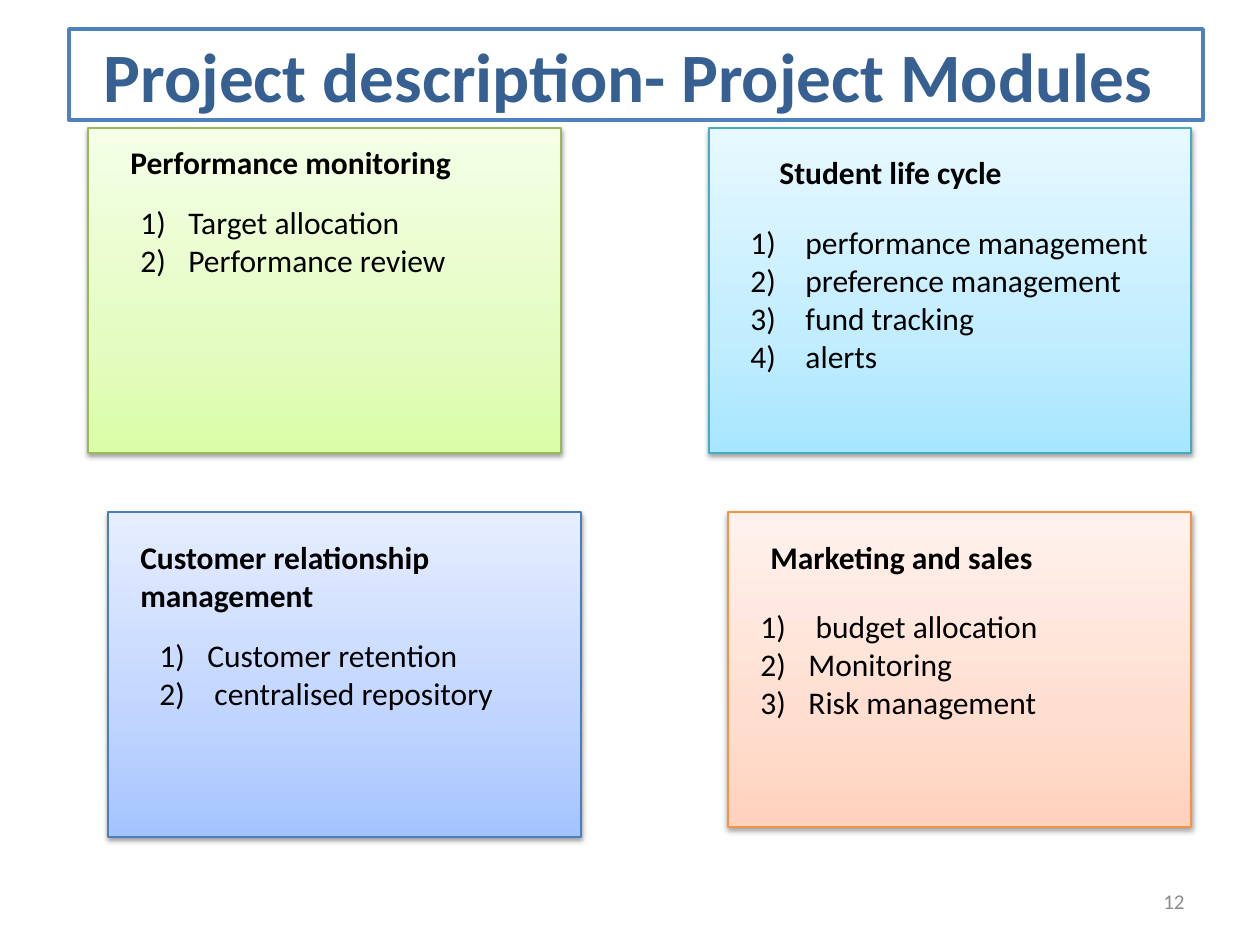
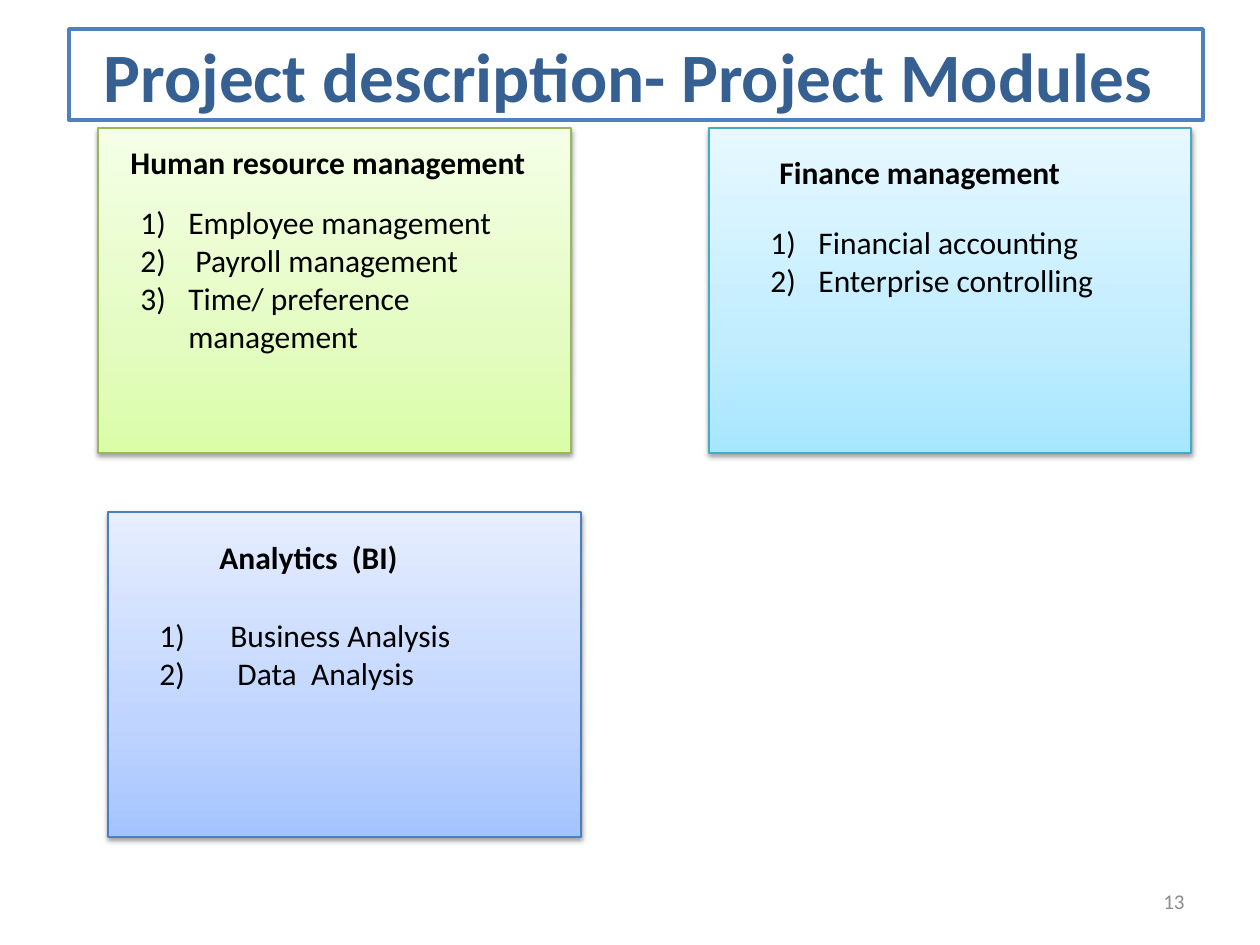
from lxml import etree
from pptx import Presentation
from pptx.dml.color import RGBColor
from pptx.enum.shapes import MSO_SHAPE as SHAPE
from pptx.enum.text import MSO_ANCHOR as ANCHOR, MSO_AUTO_SIZE as AUTO, PP_ALIGN as ALIGN
from pptx.oxml.ns import qn
from pptx.util import Pt

PX = 914400 / 126
TITLE = "Project description- Project Modules "

# Gradient stops at 0, 35 and 100 %, then the outline
GREEN = ("DAFDA7", "E4FCC2", "F5FFE7", "98B955")
CYAN = ("A7E6FF", "C1EDFF", "E7F8FF", "46AAC5")
BLUE = ("A4C4FF", "BFD4FF", "E6EEFF", "4B7EBC")
ORANGE = ("FFD2BD", "FFDED0", "FFF2ED", "F69240")

HEADING = {"size": Pt(18), "bold": True}
ITEM = {"size": Pt(18), "bold": False}
NUMBER = {"size": Pt(12), "bold": False}

# Slide number, then modules: palette, card, heading, heading box, items, item box, indent
SLIDES = [
    ("12", [
        (CYAN, (709, 128, 482, 325), "Student life cycle", (767, 147, 384, 50),
         [" performance management", " preference management", " fund tracking", " alerts"],
         (738, 217, 444, 165), 48),
        (GREEN, (88, 128, 473, 325), "Performance monitoring", (118, 137, 433, 50),
         ["Target allocation", "Performance review"], (128, 197, 403, 165), 48),
        (BLUE, (108, 512, 473, 325), "Customer relationship management", (128, 532, 403, 89),
         ["Customer retention", " centralised repository"], (147, 630, 413, 89), 48),
        (ORANGE, (728, 512, 463, 315), "Marketing and sales", (758, 532, 364, 50),
         [" budget allocation", "Monitoring", "Risk management"], (748, 601, 433, 127), 48),
    ]),
    ("13", [
        (CYAN, (709, 128, 482, 325), "Finance management", (767, 147, 384, 50),
         ["Financial accounting", "Enterprise controlling"], (758, 217, 394, 89), 48),
        (GREEN, (98, 128, 473, 325), "Human resource management", (118, 137, 433, 50),
         ["Employee management", " Payroll management", "Time/ preference management"],
         (128, 197, 403, 204), 48),
        (BLUE, (108, 512, 473, 325), "Analytics  (BI)", (207, 532, 276, 50),
         ["Business Analysis", " Data  Analysis"], (147, 610, 413, 127), 71),
    ]),
]


def rgb(color):
    return RGBColor.from_string(color)


def add_text(s, box, lines, style, color="000000", indent=0):
    sp = s.shapes.add_textbox(*(round(v * PX) for v in box))
    tf = sp.text_frame
    tf.word_wrap = True
    tf.auto_size = AUTO.SHAPE_TO_FIT_TEXT
    for i, line in enumerate(lines):
        p = tf.paragraphs[0] if i == 0 else tf.add_paragraph()
        r = p.add_run()
        r.text = line
        r.font.name = "Calibri"
        r.font.color.rgb = rgb(color)
        for name, value in style.items():
            setattr(r.font, name, value)
        if indent:
            pPr = p._p.get_or_add_pPr()
            pPr.set("marL", str(round(indent * PX)))
            pPr.set("indent", str(-round(indent * PX)))
            etree.SubElement(pPr, qn("a:buFont"), typeface="+mj-lt")
            etree.SubElement(pPr, qn("a:buAutoNum"), type="arabicParenR")
    return tf


prs = Presentation()
prs.slide_width, prs.slide_height = round(1260 * PX), round(945 * PX)

for number, modules in SLIDES:
    s = prs.slides.add_slide(prs.slide_layouts[5])

    # Framed title
    sp = s.shapes.title
    sp.left, sp.top, sp.width, sp.height = (round(v * PX) for v in (69, 29, 1134, 91))
    sp.fill.solid()
    sp.fill.fore_color.rgb = rgb("FFFFFF")
    sp.line.color.rgb = rgb("4F81BD")
    sp.line.width = Pt(2)
    tf = sp.text_frame
    tf.text = TITLE
    tf.auto_size = AUTO.NONE
    tf.vertical_anchor = ANCHOR.MIDDLE
    p = tf.paragraphs[0]
    p.alignment = ALIGN.CENTER
    for name, value in {"name": "Calibri", "size": Pt(39.6), "bold": True}.items():
        setattr(p.runs[0].font, name, value)
    p.runs[0].font.color.rgb = rgb("376092")

    for palette, card, heading, heading_box, items, items_box, indent in modules:
        # Card with a three-stop gradient, lightest at the top
        sp = s.shapes.add_shape(SHAPE.RECTANGLE, *(round(v * PX) for v in card))
        sp.fill.gradient()
        sp.fill.gradient_angle = 90
        stops = sp._element.spPr.find(".//" + qn("a:gsLst"))
        for stop in list(stops):
            stops.remove(stop)
        for pos, color in zip((0, 35, 100), palette):
            stop = etree.SubElement(stops, qn("a:gs"), pos=str(pos * 1000))
            etree.SubElement(stop, qn("a:srgbClr"), val=color)
        sp.line.color.rgb = rgb(palette[3])
        sp.line.width = Pt(0.75)

        # Soft shadow below the card
        sp.shadow.inherit = False
        effects = sp._element.spPr.find(qn("a:effectLst"))
        shadow = etree.SubElement(effects, qn("a:outerShdw"), blurRad="40000",
                                  dist="20000", dir="5400000", rotWithShape="0")
        black = etree.SubElement(shadow, qn("a:srgbClr"), val="000000")
        etree.SubElement(black, qn("a:alpha"), val="38000")

        # Heading and numbered list
        add_text(s, heading_box, [heading], HEADING)
        add_text(s, items_box, items, ITEM, indent=indent)

    # Slide number
    tf = add_text(s, (903, 876, 294, 50), [number], NUMBER, "8C8C8C")
    tf.auto_size = AUTO.NONE
    tf.vertical_anchor = ANCHOR.MIDDLE
    tf.paragraphs[0].alignment = ALIGN.RIGHT

prs.save("out.pptx")
